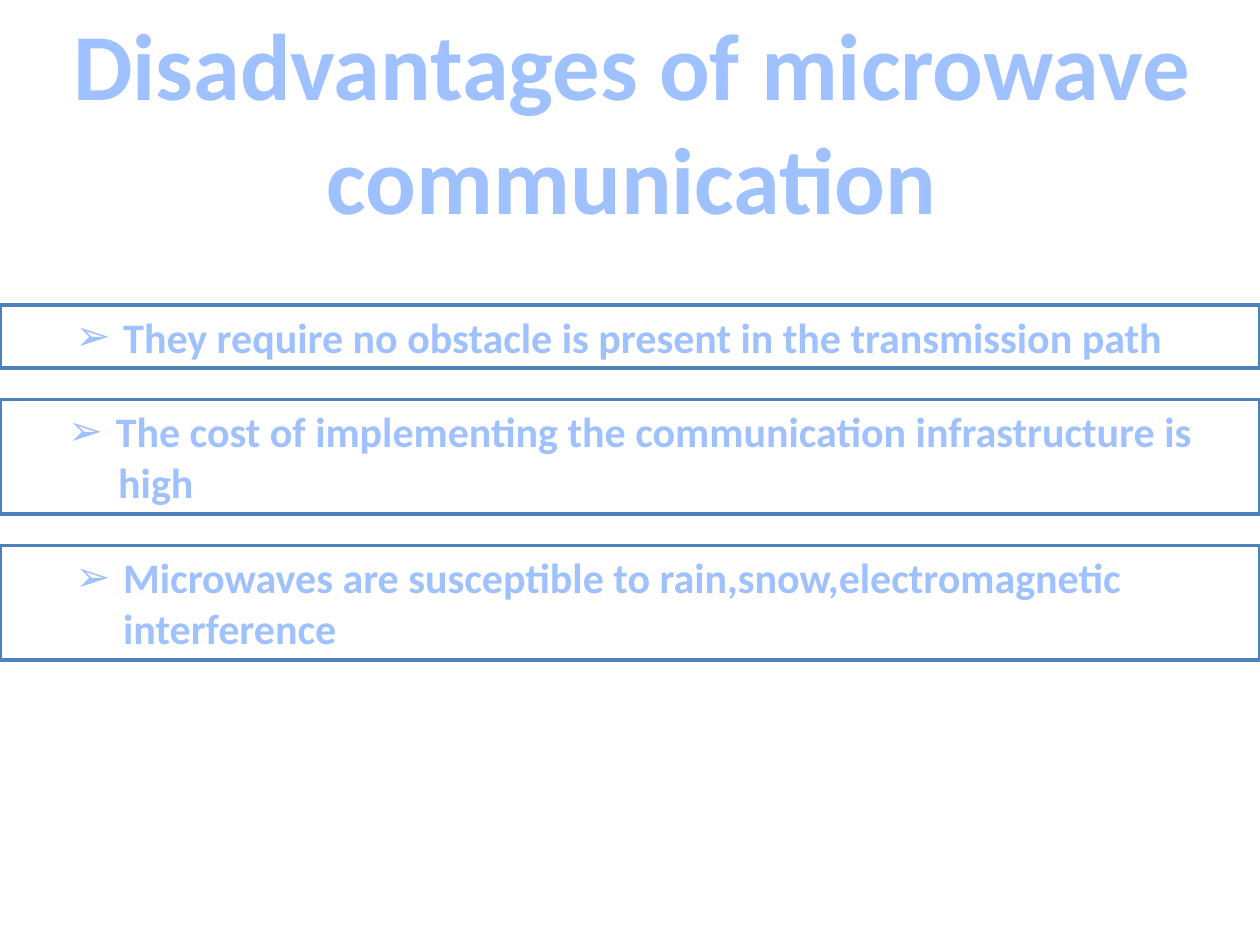
from lxml import etree
from pptx import Presentation
from pptx.dml.color import RGBColor
from pptx.enum import shapes, text
from pptx.oxml import ns
from pptx.util import Inches, Pt

TEXT_BLUE = RGBColor(0xA0, 0xC1, 0xFF)
BORDER_BLUE = RGBColor(0x4F, 0x81, 0xBD)
WHITE = RGBColor(0xFF, 0xFF, 0xFF)

TITLE = "Disadvantages of microwave communication"
LEFT, CENTER = text.PP_ALIGN.LEFT, text.PP_ALIGN.CENTER
LISTED = {"align": LEFT, "margin": 0.88, "bullet": "➢", "level": 1}
CENTERED = {"align": CENTER, "margin": 0.38, "bullet": "➢", "level": 0}
CONTINUED = {"align": LEFT, "margin": 0.84, "bullet": None, "level": 0}
BOXES = [
    (0.5, [("They require no obstacle is present in the transmission path", LISTED)]),
    (0.91, [("The cost of implementing the communication infrastructure is", CENTERED),
            ("high", CONTINUED)]),
    (0.91, [("Microwaves are susceptible to rain,snow,electromagnetic interference", LISTED)]),
]
BOX_TOP, BOX_GAP, HANGING = 2.42, 0.25, 0.38


def write(paragraph, content, size, align):
    paragraph.alignment = align
    run = paragraph.add_run()
    run.text = content
    font_format = {"name": "Calibri", "size": Pt(size), "bold": True}
    for name, value in font_format.items():
        setattr(run.font, name, value)
    run.font.color.rgb = TEXT_BLUE


def indent(paragraph, style):
    paragraph.level = style["level"]
    properties = paragraph._p.get_or_add_pPr()
    properties.set("marL", str(Inches(style["margin"])))
    if style["bullet"]:
        properties.set("indent", str(-Inches(HANGING)))
        font = etree.SubElement(properties, ns.qn("a:buFont"))
        font.set("typeface", "Wingdings")
        font.set("typeface", "Arial")
        bullet = etree.SubElement(properties, ns.qn("a:buChar"))
        bullet.set("char", style["bullet"])


def add_box(slide, top, height, lines):
    shape = slide.shapes.add_shape(
        shapes.MSO_SHAPE.RECTANGLE, 0, Inches(top), Inches(10), Inches(height))
    shape.shadow.inherit = False
    shape.fill.solid()
    shape.fill.fore_color.rgb = WHITE
    shape.line.color.rgb = BORDER_BLUE
    shape.line.width = Pt(2)
    frame = shape.text_frame
    frame.word_wrap = True
    frame.vertical_anchor = text.MSO_ANCHOR.TOP
    for number, (content, style) in enumerate(lines):
        paragraph = frame.add_paragraph() if number else frame.paragraphs[0]
        write(paragraph, content, 24, style["align"])
        indent(paragraph, style)


def main():
    presentation = Presentation()
    presentation.slide_width = Inches(10)
    presentation.slide_height = Inches(7.5)
    slide = presentation.slides.add_slide(presentation.slide_layouts[5])

    title = slide.shapes.title
    place = {"left": -0.33, "top": 0, "width": 10.69, "height": 1.92}
    for name, value in place.items():
        setattr(title, name, Inches(value))
    frame_format = {"word_wrap": True, "vertical_anchor": text.MSO_ANCHOR.TOP,
                    "auto_size": text.MSO_AUTO_SIZE.NONE}
    for name, value in frame_format.items():
        setattr(title.text_frame, name, value)
    write(title.text_frame.paragraphs[0], TITLE, 54, CENTER)

    top = BOX_TOP
    for height, lines in BOXES:
        add_box(slide, top, height, lines)
        top += height + BOX_GAP

    presentation.save("out.pptx")


if __name__ == "__main__":
    main()
